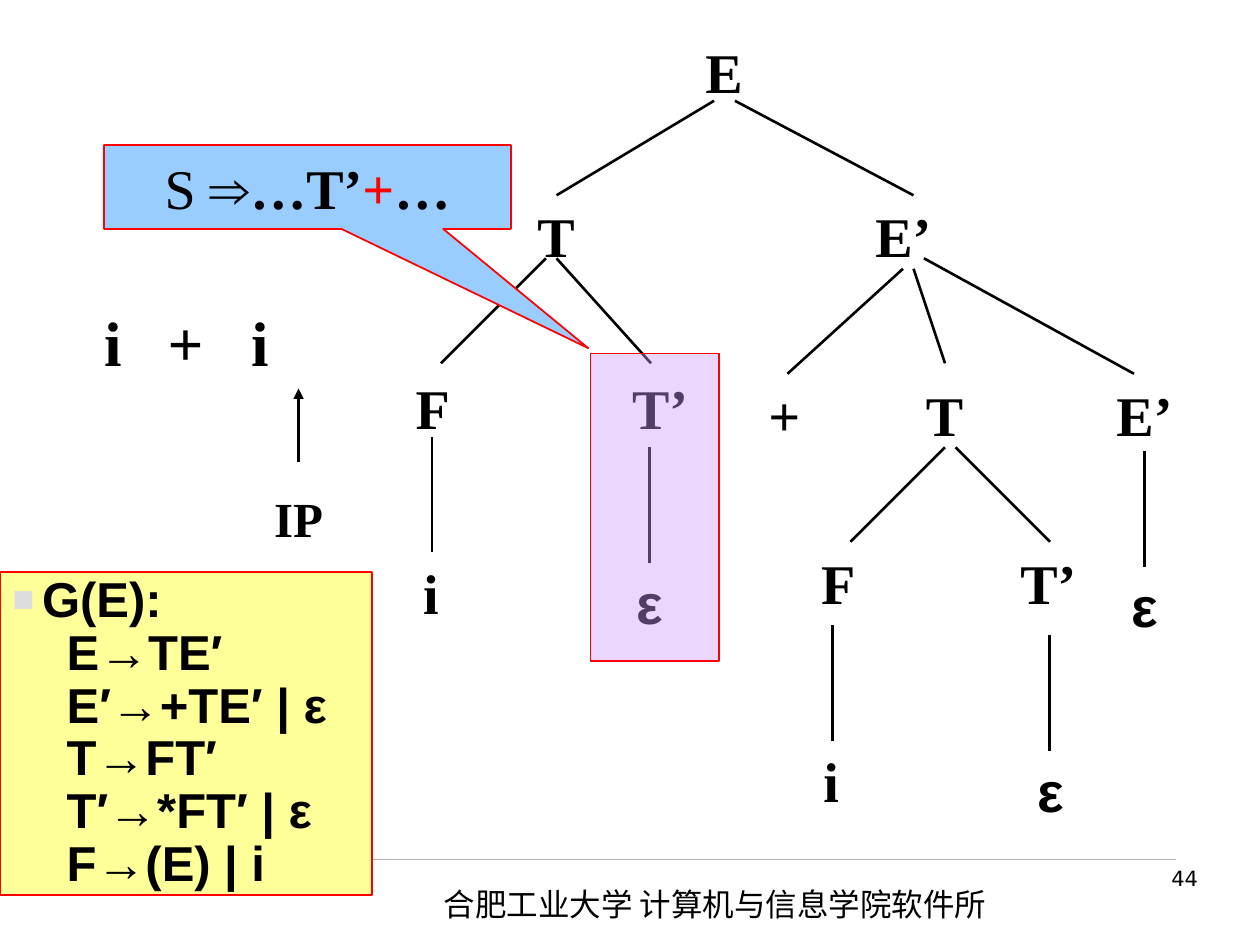
from lxml import etree
from pptx import Presentation
from pptx.dml.color import RGBColor
from pptx.enum.shapes import MSO_CONNECTOR, MSO_SHAPE
from pptx.enum.text import MSO_ANCHOR, PP_ALIGN
from pptx.oxml.ns import qn
from pptx.util import Pt

LEFT, CENTER, RIGHT = PP_ALIGN.LEFT, PP_ALIGN.CENTER, PP_ALIGN.RIGHT
MIDDLE = MSO_ANCHOR.MIDDLE
RECTANGLE, CALLOUT = MSO_SHAPE.RECTANGLE, MSO_SHAPE.RECTANGULAR_CALLOUT
STRAIGHT = MSO_CONNECTOR.STRAIGHT

COLORS = {
    "black": "000000", "red": "FF0000", "grey": "B2B2B2", "bullet": "DDDDDD",
    "yellow": "FFFF99", "violet": "CC99FF", "blue": "99CCFF",
}
SERIF, SANS = "Times New Roman", "Arial"
NODE_WIDTHS = {"E": 35.3, "T": 35.3, "E’": 48, "T’": 48, "F": 33.8,
               "i": 23, "ε": 28, "+": 32.4}
STEM_LENGTH = 66

NODES = [
    ("E", 396, 18), ("T", 300, 111.6), ("E’", 492.2, 111.6),
    ("F", 230.4, 210), ("T’", 353.2, 210), ("i", 234.7, 315.4), ("ε", 356.8, 321.1),
    ("+", 432, 213.8), ("T", 522, 213.8), ("E’", 630, 213.8),
    ("F", 462.2, 309.6), ("T’", 575, 309.6), ("i", 463.4, 423.2),
    ("ε", 585.7, 428.6), ("ε", 639.4, 323.3),
]
BRANCHES = [
    (408, 57.6, 318, 111.6), (420, 57.6, 522, 111.6),
    (312, 147.6, 252, 207.6), (318, 147.6, 372, 207.6),
    (516, 153.6, 450, 213.6), (522, 153.6, 540, 207.6), (528, 147.6, 648, 213.6),
    (540, 255.6, 486, 309.6), (546, 255.6, 600, 309.6),
]
STEMS = [(246.8, 249.6), (371.2, 255.6), (475.6, 357.2), (599.8, 363), (654, 258)]
RULES = ["E→TE′", "E′→+TE′ | ε", "T→FT′", "T′→*FT′ | ε", "F→(E) | i"]


class Painter:
    def __init__(self, page):
        self.page = page

    def color(self, name):
        return RGBColor.from_string(COLORS[name])

    def style(self, para, size, name, bold=False, align=LEFT):
        para.alignment = align
        font = para.font
        font.size, font.name, font.bold = Pt(size), name, bold
        font.color.rgb = self.color("black")
        defaults = para._p.pPr.find(qn("a:defRPr"))
        etree.SubElement(defaults, qn("a:ea"), typeface=name)

    def text(self, words, left, top, width, height, size, name,
             bold=True, align=CENTER, wrap=False, inset=7.2, tabs=()):
        box = self.page.shapes.add_textbox(Pt(left), Pt(top), Pt(width), Pt(height))
        frame = box.text_frame
        frame.word_wrap = wrap
        frame.margin_left = Pt(inset)
        para = frame.paragraphs[0]
        para.text = words
        if tabs:
            stops = etree.SubElement(para._p.get_or_add_pPr(), qn("a:tabLst"))
            for position in tabs:
                etree.SubElement(stops, qn("a:tab"), pos=str(Pt(position)), algn="ctr")
        self.style(para, size, name, bold, align)

    def node(self, symbol, left, top):
        name = SANS if symbol == "ε" else SERIF
        self.text(symbol, left, top, NODE_WIDTHS[symbol], 46, 32, name)

    def line(self, x1, y1, x2, y2, color="black", width=1.5, arrow=False):
        edge = self.page.shapes.add_connector(STRAIGHT, Pt(x1), Pt(y1), Pt(x2), Pt(y2))
        edge.line.color.rgb = self.color(color)
        edge.line.width = Pt(width)
        outline = edge._element.spPr
        if arrow:
            etree.SubElement(outline.find(qn("a:ln")), qn("a:tailEnd"), type="triangle")
        etree.SubElement(outline, qn("a:effectLst"))

    def panel(self, kind, left, top, width, height, fill, opacity=100):
        shape = self.page.shapes.add_shape(kind, Pt(left), Pt(top), Pt(width), Pt(height))
        shape.shadow.inherit = False
        shape.fill.solid()
        shape.fill.fore_color.rgb = self.color(fill)
        if opacity < 100:
            tint = shape._element.spPr.find(qn("a:solidFill"))[0]
            etree.SubElement(tint, qn("a:alpha"), val=str(opacity * 1000))
        shape.line.color.rgb = self.color("red")
        shape.line.width = Pt(1)
        shape.text_frame.word_wrap = True
        shape.text_frame.vertical_anchor = MIDDLE
        return shape

    def grammar(self, heading, rules):
        frame = self.panel(RECTANGLE, 0, 326.8, 212.5, 184.8, "yellow").text_frame
        for index, words in enumerate([heading] + rules):
            para = frame.add_paragraph() if index else frame.paragraphs[0]
            para.text = words
            para.line_spacing = 0.9
            layout = para._p.get_or_add_pPr()
            layout.set("marL", str(Pt(31 if index else 17)))
            layout.set("indent", str(Pt(0 if index else -17)))
            if index == 0:
                tint = etree.SubElement(layout, qn("a:buClr"))
                etree.SubElement(tint, qn("a:srgbClr"), val=COLORS["bullet"])
                etree.SubElement(layout, qn("a:buSzPct"), val="75000")
                etree.SubElement(layout, qn("a:buFont"), typeface=SANS)
                etree.SubElement(layout, qn("a:buChar"), char="■")
            self.style(para, 28, SANS, True)

    def callout(self, spans):
        shape = self.panel(CALLOUT, 59.5, 82.8, 232.5, 48, "blue")
        shape.adjustments[0], shape.adjustments[1] = 0.69, 1.92
        para = shape.text_frame.paragraphs[0]
        self.style(para, 32, SERIF, align=CENTER)
        for words, name, bold, color in spans:
            span = para.add_run()
            span.text = words
            span.font.name, span.font.bold = name, bold
            span.font.color.rgb = self.color(color)


def main():
    deck = Presentation()
    deck.slide_width, deck.slide_height = Pt(720), Pt(540)
    painter = Painter(deck.slides.add_slide(deck.slide_layouts[6]))

    painter.line(48, 491, 672, 491, "grey", 0.25)
    painter.text("合肥工业大学 计算机与信息学院软件所", 246.6, 502, 345.6, 29, 18,
                 "Noto Sans CJK SC", False, LEFT, True)
    painter.text("44", 535.7, 491, 156, 37.5, 12, "DejaVu Sans", False, RIGHT, True)

    painter.text("i\t+\ti", 35.5, 169.8, 150.5, 50.4, 36, SERIF,
                 align=LEFT, wrap=True, inset=24, tabs=(46.5, 89))
    painter.line(170.6, 264, 170.6, 222, arrow=True)
    painter.text("IP", 149.4, 275.4, 42.5, 41, 28, SERIF)

    for symbol, left, top in NODES:
        painter.node(symbol, left, top)
    for branch in BRANCHES:
        painter.line(*branch)
    for x, top in STEMS:
        painter.line(x, top, x, top + STEM_LENGTH)

    painter.grammar("G(E):", RULES)
    painter.panel(RECTANGLE, 337.5, 202, 73.5, 175.7, "violet", 40)
    painter.callout([
        ("S ", SERIF, False, "black"), ("⇒", SANS, True, "black"),
        ("…T’", SERIF, True, "black"), ("+", SERIF, True, "red"),
        ("…", SERIF, True, "black"),
    ])
    deck.save("out.pptx")


if __name__ == "__main__":
    main()
